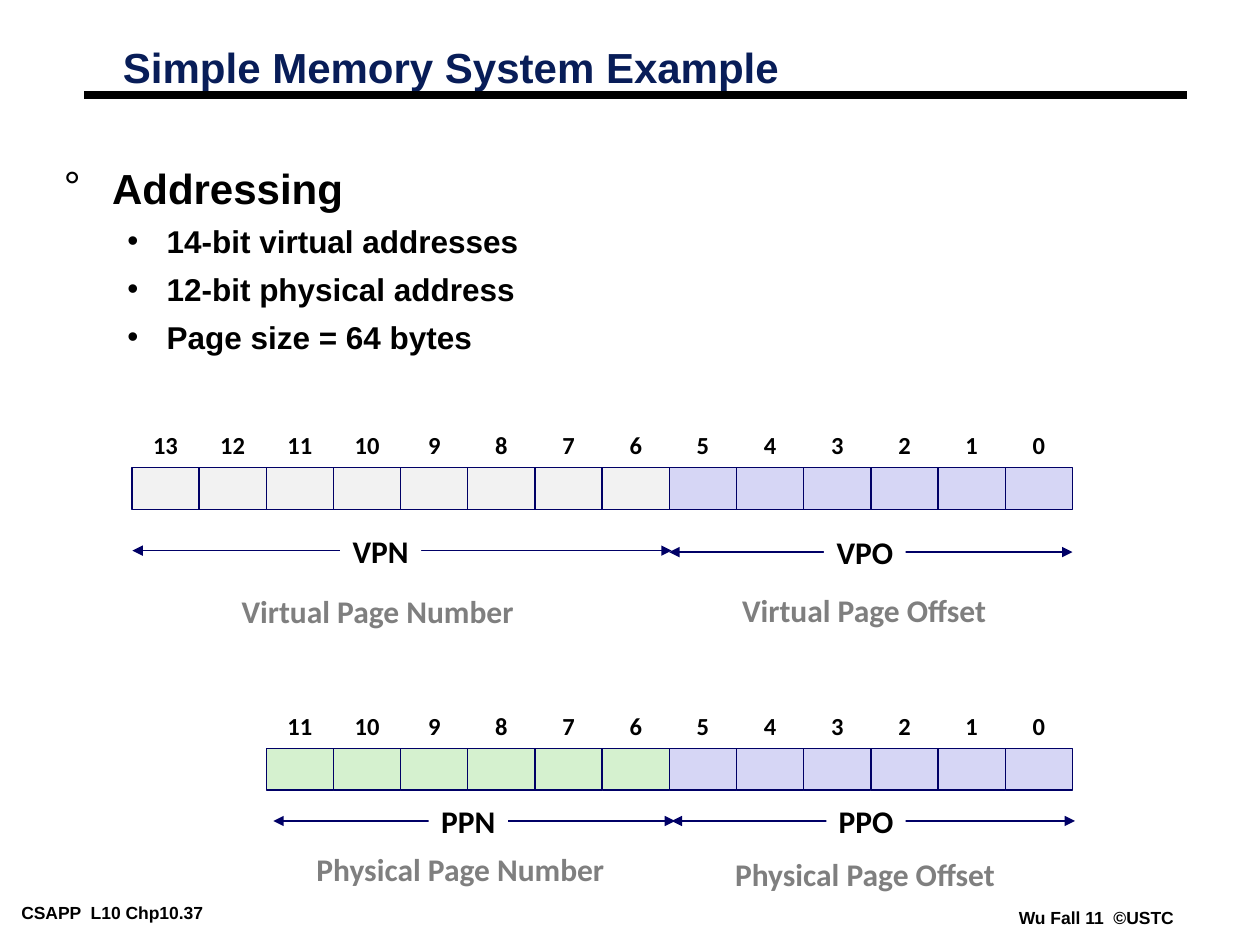
from lxml import etree
from pptx import Presentation
from pptx.dml.color import RGBColor
from pptx.enum.shapes import MSO_CONNECTOR, MSO_SHAPE
from pptx.enum.text import MSO_ANCHOR, PP_ALIGN
from pptx.oxml.ns import qn
from pptx.util import Cm, Pt

RECT = MSO_SHAPE.RECTANGLE
STRAIGHT = MSO_CONNECTOR.STRAIGHT
LEFT, CENTER = PP_ALIGN.LEFT, PP_ALIGN.CENTER
TOP, MIDDLE = MSO_ANCHOR.TOP, MSO_ANCHOR.MIDDLE

BLACK, WHITE, NAVY, INK = "000000", "FFFFFF", "000066", "081D58"
GRAY, PALE, LILAC, GREEN = "7F7F7F", "F2F2F2", "D6D6F5", "D5F1CF"

ROW_RIGHT = 21.62
CELL_W, CELL_H = 18.96 / 14, 0.84
OFFSET_BITS = 6


def color(value):
    return RGBColor.from_string(value)


def add_run(p, text, size, font="Arial", fill=BLACK):
    r = p.add_run()
    r.text = text
    r.font.name, r.font.size, r.font.bold = font, Pt(size), True
    r.font.color.rgb = color(fill)


def set_frame(tf, anchor=TOP, wrap=False, inset=(0.25, 0.13)):
    tf.word_wrap = wrap
    tf.vertical_anchor = anchor
    tf.margin_left = tf.margin_right = Cm(inset[0])
    tf.margin_top = tf.margin_bottom = Cm(inset[1])


def add_label(s, box, text, size, font="Calibri", fill=BLACK, align=LEFT,
              spacing=0.88, back=None, **frame):
    sp = s.shapes.add_textbox(*map(Cm, box))
    if back:
        sp.fill.solid()
        sp.fill.fore_color.rgb = color(back)
    set_frame(sp.text_frame, **frame)
    p = sp.text_frame.paragraphs[0]
    p.alignment, p.line_spacing = align, spacing
    add_run(p, text, size, font, fill)


def add_line(s, x1, x2, y, fill, width, arrows=False):
    line = s.shapes.add_connector(STRAIGHT, Cm(x1), Cm(y), Cm(x2), Cm(y))
    line.line.color.rgb = color(fill)
    line.line.width = Pt(width)
    if arrows:
        ln = line.line._get_or_add_ln()
        for end in ("a:headEnd", "a:tailEnd"):
            etree.SubElement(ln, qn(end), type="triangle")
    etree.SubElement(line._element.spPr, qn("a:effectLst"))


def set_bullet(p, char, margin, hanging):
    ppr = p._p.get_or_add_pPr()
    ppr.set("marL", str(Cm(margin)))
    ppr.set("indent", str(-Cm(hanging)))
    bullet_color = etree.SubElement(ppr, qn("a:buClr"))
    etree.SubElement(bullet_color, qn("a:srgbClr"), val=BLACK)
    etree.SubElement(ppr, qn("a:buFont"), typeface="Arial")
    etree.SubElement(ppr, qn("a:buChar"), char=char)


def add_header(s, x, y):
    add_label(s, (x + 0.52, y, 15.29, 1.1), "Simple Memory System Example", 24,
              "Arial", INK, spacing=0.87, anchor=MIDDLE, wrap=True)
    add_line(s, x - 0.01, x + 22.22, y + 1.05, BLACK, 4.5)


def add_footer(s, y):
    small = {"font": "Arial", "spacing": 1.0, "inset": (0.18, 0.08)}
    add_label(s, (0.25, y, 5.33, 0.56), "CSAPP  L10 Chp10.37", 10, **small)
    add_label(s, (20.36, y + 0.1, 3.51, 0.56), "Wu Fall 11  ©USTC", 10, **small)


def add_outline(s, box, heading, items):
    tf = s.shapes.add_textbox(*map(Cm, box)).text_frame
    set_frame(tf, wrap=True)
    p = tf.paragraphs[0]
    p.line_spacing = 0.75
    set_bullet(p, "°", 0.97, 0.97)
    add_run(p, heading, 24)
    for item in items:
        p = tf.add_paragraph()
        p.level, p.line_spacing, p.space_before = 1, 0.85, Pt(9)
        set_bullet(p, "•", 2.07, 0.79)
        add_run(p, item, 18)


def add_address(s, y, bits, number_fill):
    """Draw numbered bit cells, highest bit first, with cell tops at y."""
    for bit in range(bits - 1, -1, -1):
        x = ROW_RIGHT - (bit + 1) * CELL_W
        cell = s.shapes.add_shape(RECT, Cm(x), Cm(y), Cm(CELL_W), Cm(CELL_H))
        cell.shadow.inherit = False
        cell.fill.solid()
        cell.fill.fore_color.rgb = color(LILAC if bit < OFFSET_BITS else number_fill)
        cell.line.color.rgb = color(NAVY)
        cell.line.width = Pt(0.75)
        add_label(s, (x, y - CELL_H, CELL_W, CELL_H), str(bit), 14,
                  align=CENTER, anchor=MIDDLE)


def add_field(s, x1, x2, y, short, short_x, short_w, name, name_box):
    """Draw a double arrow at y, its short label and the full name below."""
    add_line(s, x1, x2, y, NAVY, 0.75, arrows=True)
    add_label(s, (short_x, y - 0.41, short_w, 0.91), short, 18, back=WHITE,
              align=CENTER, inset=(0.05, 0.13))
    dx, dy, w = name_box
    add_label(s, (x1 + dx, y + dy, w, 0.91), name, 18, fill=GRAY)


def main():
    prs = Presentation()
    prs.slide_width, prs.slide_height = Cm(25.4), Cm(19.05)
    s = prs.slides.add_slide(prs.slide_layouts[6])

    add_footer(s, 18.1)
    add_header(s, 1.71, 0.86)
    add_outline(s, (1.04, 3.38, 23.09, 4.39), "Addressing",
                ["14-bit virtual addresses", "12-bit physical address",
                 "Page size = 64 bytes"])
    add_address(s, 9.43, 14, PALE)
    add_address(s, 15.09, 12, GREEN)

    fields = [
        (13.49, 21.62, 11.13, "VPO", 16.61, 1.65, "Virtual Page Offset", (1.22, 0.76, 5.46)),
        (13.54, 21.67, 16.55, "PPO", 16.66, 1.6, "Physical Page Offset", (1.03, 0.65, 5.79)),
        (5.51, 13.61, 16.55, "PPN", 8.64, 1.6, "Physical Page Number", (0.62, 0.56, 6.35)),
        (2.67, 13.54, 11.1, "VPN", 6.86, 1.63, "Virtual Page Number", (1.95, 0.81, 6.02)),
    ]
    for field in fields:
        add_field(s, *field)
    prs.save("out.pptx")


if __name__ == "__main__":
    main()
